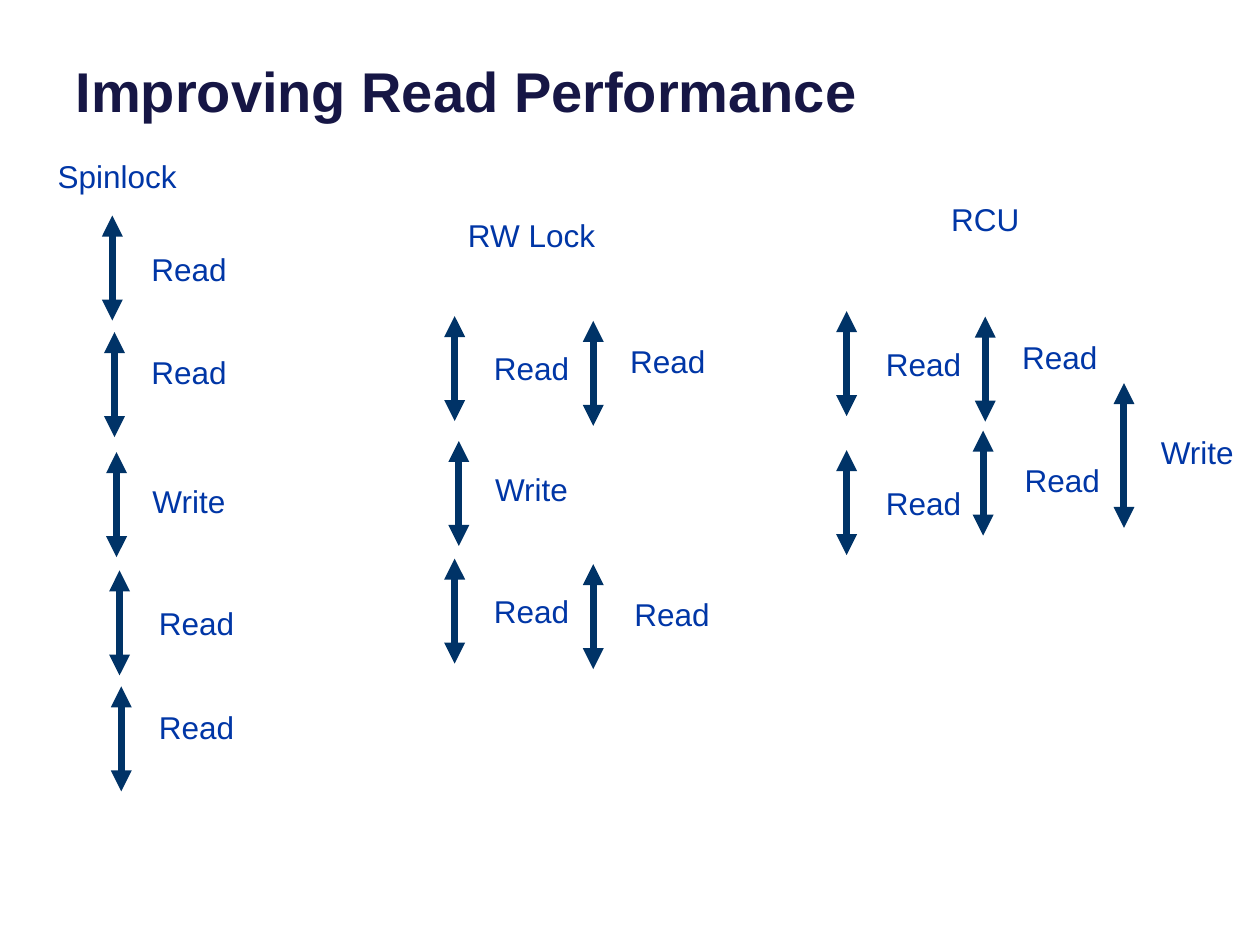
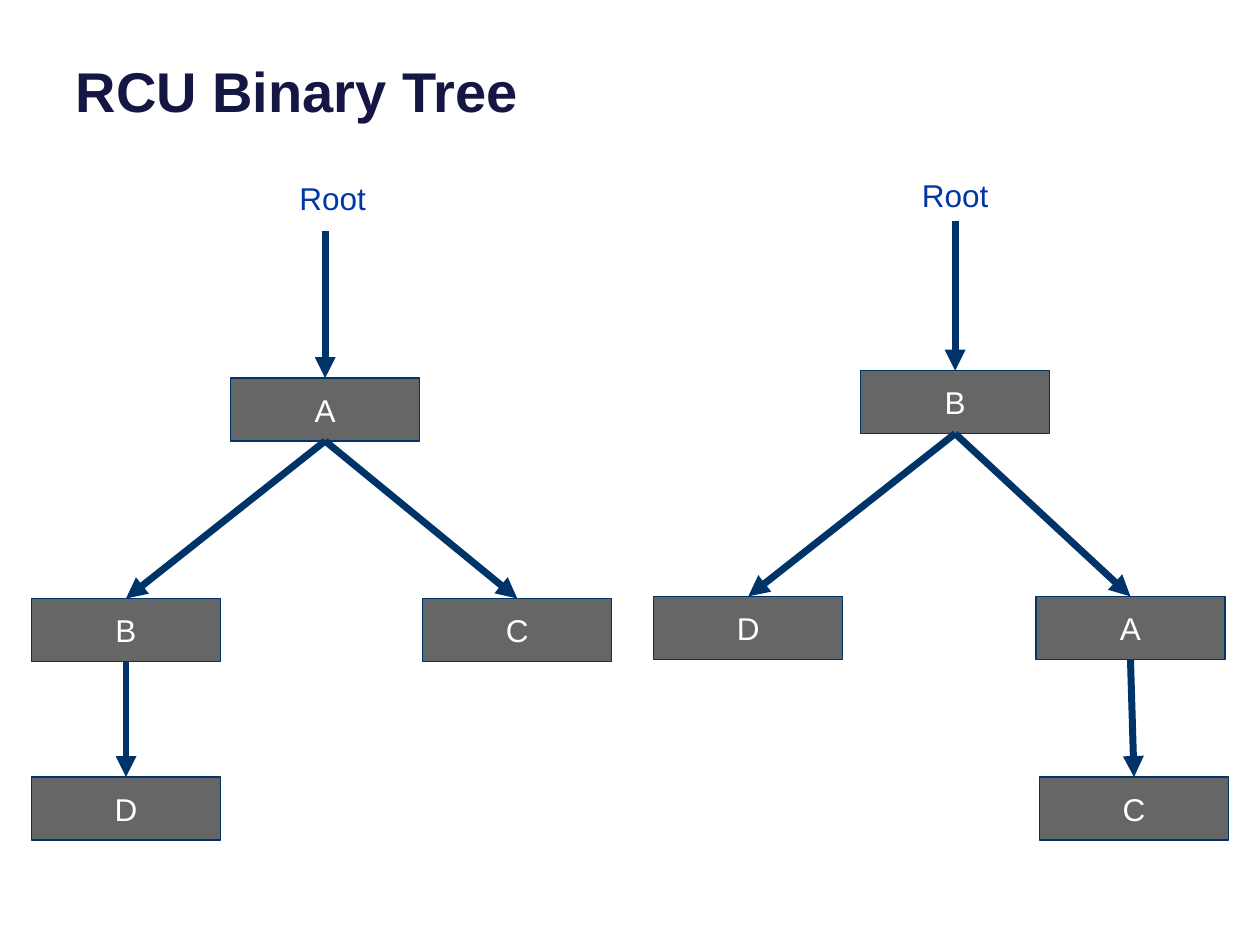
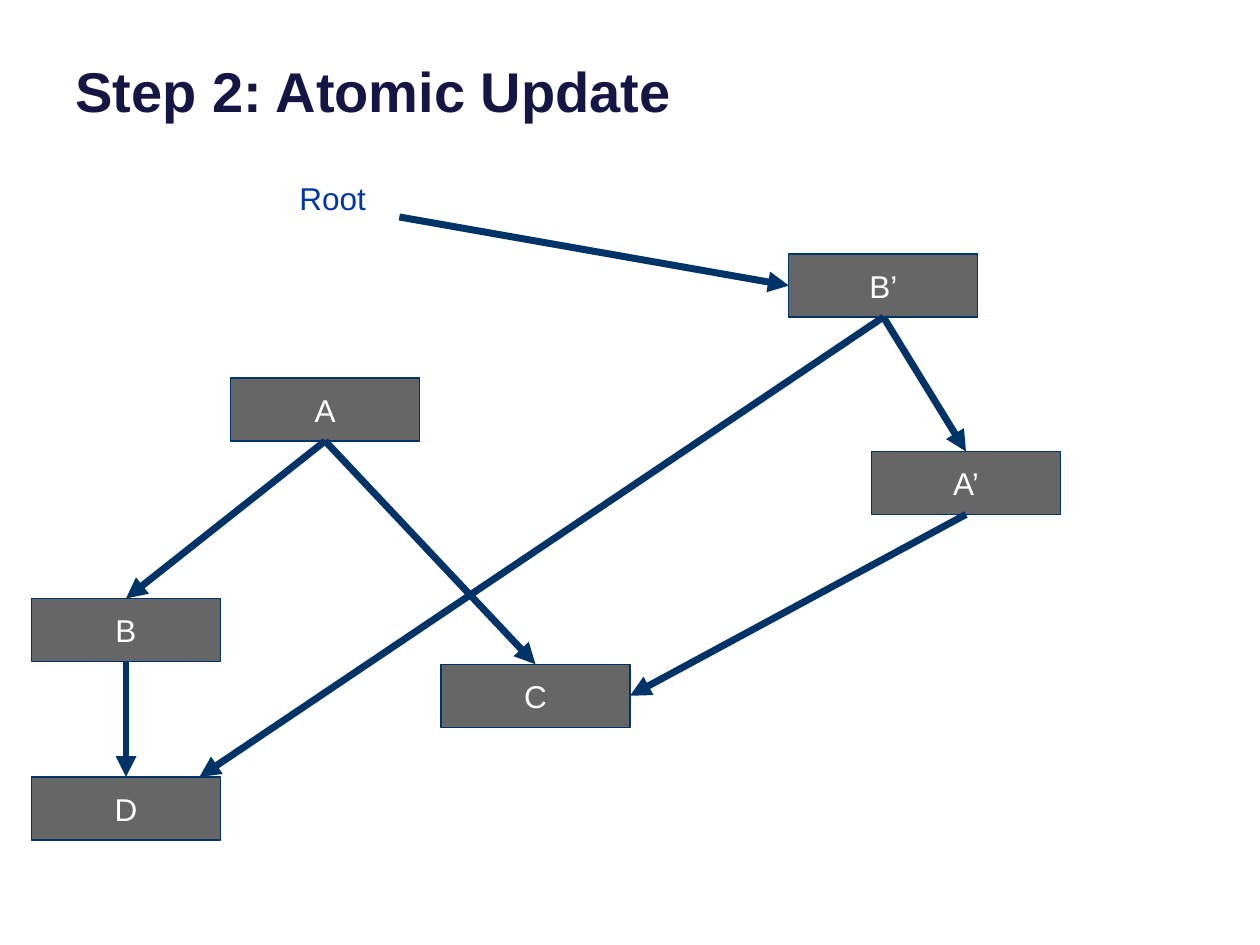
from dataclasses import dataclass
from typing import NamedTuple

from lxml import etree
from pptx import Presentation
from pptx.dml.color import RGBColor
from pptx.enum.shapes import MSO_CONNECTOR, MSO_SHAPE
from pptx.enum.text import MSO_ANCHOR, MSO_AUTO_SIZE, PP_ALIGN
from pptx.oxml.ns import qn
from pptx.shapes.autoshape import Shape
from pptx.shapes.connector import Connector
from pptx.slide import Slide
from pptx.text.text import TextFrame
from pptx.util import Pt

STRAIGHT = MSO_CONNECTOR.STRAIGHT
RECTANGLE = MSO_SHAPE.RECTANGLE
MIDDLE, AT_BOTTOM = MSO_ANCHOR.MIDDLE, MSO_ANCHOR.BOTTOM
CENTER, LEFT = PP_ALIGN.CENTER, PP_ALIGN.LEFT
NO_FIT, GROW = MSO_AUTO_SIZE.NONE, MSO_AUTO_SIZE.SHAPE_TO_FIT_TEXT

TITLE_ONLY = 5
TOP_SIDE, LEFT_SIDE, BOTTOM_SIDE, RIGHT_SIDE = range(4)
BLOCK_WIDTH, NODE_HEIGHT, LABEL_HEIGHT = 108, 36, 28.8


@dataclass(frozen=True)
class Theme:
    font: str = "Arial"
    title_size: float = 32
    body_size: float = 18
    arrow_width: float = 4
    outline_width: float = 0.75
    title: RGBColor = RGBColor(0x16, 0x16, 0x45)
    label: RGBColor = RGBColor(0x00, 0x36, 0xA6)
    stroke: RGBColor = RGBColor(0x00, 0x33, 0x67)
    node: RGBColor = RGBColor(0x66, 0x66, 0x66)
    node_text: RGBColor = RGBColor(0xFF, 0xFF, 0xFF)


THEME = Theme()


class Point(NamedTuple):
    x: float
    y: float


class Access(NamedTuple):
    """One read or write: a time span with a label beside it."""
    kind: str
    start: Point
    label_at: Point
    duration: float = 60


@dataclass(frozen=True)
class Scheme:
    name: str
    heading_at: Point
    accesses: list[Access]


class Edge(NamedTuple):
    """A link from a node's bottom, or from a free point."""
    source: str | Point
    target: str | Point
    target_side: int = TOP_SIDE


@dataclass(frozen=True)
class Tree:
    root_at: Point
    nodes: dict[str, Point]
    edges: list[Edge]


SCHEMES = [
    Scheme("Spinlock", Point(13, 86.4), [
        Access("Read", Point(64.2, 123.2), Point(54, 139)),
        Access("Read", Point(65.4, 189.8), Point(54, 198.2)),
        Access("Write", Point(66.6, 258.4), Point(54, 271.6)),
        Access("Read", Point(68.3, 326), Point(58.3, 341.5)),
        Access("Read", Point(69.3, 392.2), Point(58.3, 401)),
    ]),
    Scheme("RW Lock", Point(249.8, 119.7), [
        Access("Read", Point(259.8, 180.6), Point(249.8, 196)),
        Access("Read", Point(339, 183.4), Point(327.6, 191.7)),
        Access("Write", Point(262.2, 252), Point(249.8, 265)),
        Access("Read", Point(259.8, 319.2), Point(249.8, 334.8)),
        Access("Read", Point(339, 322.4), Point(330, 336.4)),
    ]),
    Scheme("RCU", Point(509, 110.9), [
        Access("Read", Point(483.8, 177.8), Point(473.8, 193.6)),
        Access("Read", Point(563, 180.9), Point(551.6, 189.5)),
        Access("Write", Point(642.3, 218.9), Point(630.2, 244), 82.8),
        Access("Read", Point(483.8, 257.2), Point(473.8, 273)),
        Access("Read", Point(561.8, 246.1), Point(553, 260)),
    ]),
]

ROOT_AT = Point(136.1, 98.9)
OLD_NODES = {"A": Point(131.8, 216), "B": Point(18, 342), "D": Point(18, 444)}
OLD_EDGES = [Edge("A", "B"), Edge("A", "C"), Edge("B", "D")]

TREES_BY_TITLE = {
    "RCU Binary Tree": [
        Tree(
            ROOT_AT,
            OLD_NODES | {"C": Point(241.6, 342)},
            [Edge(Point(185.8, 132), "A"), *OLD_EDGES],
        ),
        Tree(
            Point(491.8, 97),
            {"B": Point(491.8, 211.8), "D": Point(373.6, 340.8),
             "A": Point(592, 340.8), "C": Point(594, 444)},
            [Edge(Point(545.8, 126), "B"), Edge("B", "D"),
             Edge("B", "A"), Edge("A", "C")],
        ),
    ],
    "Step 2: Atomic Update": [
        Tree(
            ROOT_AT,
            OLD_NODES | {"C": Point(252, 379.6), "B’": Point(450.8, 145.2),
                         "A’": Point(498, 258)},
            [*OLD_EDGES,
             Edge(Point(228.2, 124), "B’", LEFT_SIDE),
             Edge("A’", "C", RIGHT_SIDE),
             Edge("B’", "A’"),
             Edge("B’", Point(114, 444))],
        ),
    ],
}


def write_text(frame: TextFrame, text: str, color: RGBColor,
               size: float = THEME.body_size, bold: bool = False,
               align: PP_ALIGN = CENTER, anchor: MSO_ANCHOR = MIDDLE,
               fit: MSO_AUTO_SIZE = NO_FIT) -> None:
    frame.text = text
    frame.word_wrap = True
    frame.auto_size = fit
    frame.vertical_anchor = anchor
    paragraph = frame.paragraphs[0]
    paragraph.alignment = align
    font = paragraph.font
    font.name, font.size, font.bold = THEME.font, Pt(size), bold
    font.color.rgb = color


def add_titled_slide(deck: Presentation, heading: str) -> Slide:
    slide = deck.slides.add_slide(deck.slide_layouts[TITLE_ONLY])
    title = slide.shapes.title
    title.left, title.top = Pt(36), Pt(-48.2)
    title.width, title.height = Pt(648), Pt(122.4)
    write_text(title.text_frame, heading, THEME.title, THEME.title_size,
               bold=True, align=LEFT, anchor=AT_BOTTOM)
    return slide


def add_label(slide: Slide, text: str, at: Point) -> None:
    label = slide.shapes.add_textbox(
        Pt(at.x), Pt(at.y), Pt(BLOCK_WIDTH), Pt(LABEL_HEIGHT))
    write_text(label.text_frame, text, THEME.label, fit=GROW)


def add_arrow(slide: Slide, start: Point, end: Point,
              two_headed: bool = False) -> Connector:
    arrow = slide.shapes.add_connector(
        STRAIGHT, Pt(start.x), Pt(start.y), Pt(end.x), Pt(end.y))
    arrow.line.color.rgb = THEME.stroke
    arrow.line.width = Pt(THEME.arrow_width)
    properties = arrow.element.spPr
    stroke = properties.find(qn("a:ln"))
    for tip in ("a:headEnd", "a:tailEnd") if two_headed else ("a:tailEnd",):
        etree.SubElement(stroke, qn(tip), type="triangle")
    etree.SubElement(properties, qn("a:effectLst"))
    return arrow


def add_node(slide: Slide, name: str, at: Point) -> Shape:
    node = slide.shapes.add_shape(
        RECTANGLE, Pt(at.x), Pt(at.y), Pt(BLOCK_WIDTH), Pt(NODE_HEIGHT))
    node.shadow.inherit = False
    node.fill.solid()
    node.fill.fore_color.rgb = THEME.node
    node.line.color.rgb = THEME.stroke
    node.line.width = Pt(THEME.outline_width)
    write_text(node.text_frame, name, THEME.node_text)
    return node


def draw_scheme(slide: Slide, scheme: Scheme) -> None:
    add_label(slide, scheme.name, scheme.heading_at)
    for access in scheme.accesses:
        start = access.start
        add_arrow(slide, start, Point(start.x, start.y + access.duration),
                  two_headed=True)
        add_label(slide, access.kind, access.label_at)


def draw_tree(slide: Slide, tree: Tree) -> None:
    add_label(slide, "Root", tree.root_at)
    nodes = {name: add_node(slide, name, at) for name, at in tree.nodes.items()}
    for source, target, side in tree.edges:
        start = tree.nodes[source] if source in nodes else source
        end = tree.nodes[target] if target in nodes else target
        arrow = add_arrow(slide, start, end)
        if source in nodes:
            arrow.begin_connect(nodes[source], BOTTOM_SIDE)
        if target in nodes:
            arrow.end_connect(nodes[target], side)


def main() -> None:
    deck = Presentation()
    deck.slide_width, deck.slide_height = Pt(720), Pt(540)

    comparison = add_titled_slide(deck, "Improving Read Performance")
    for scheme in SCHEMES:
        draw_scheme(comparison, scheme)

    for heading, trees in TREES_BY_TITLE.items():
        slide = add_titled_slide(deck, heading)
        for tree in trees:
            draw_tree(slide, tree)

    deck.save("out.pptx")


if __name__ == "__main__":
    main()
